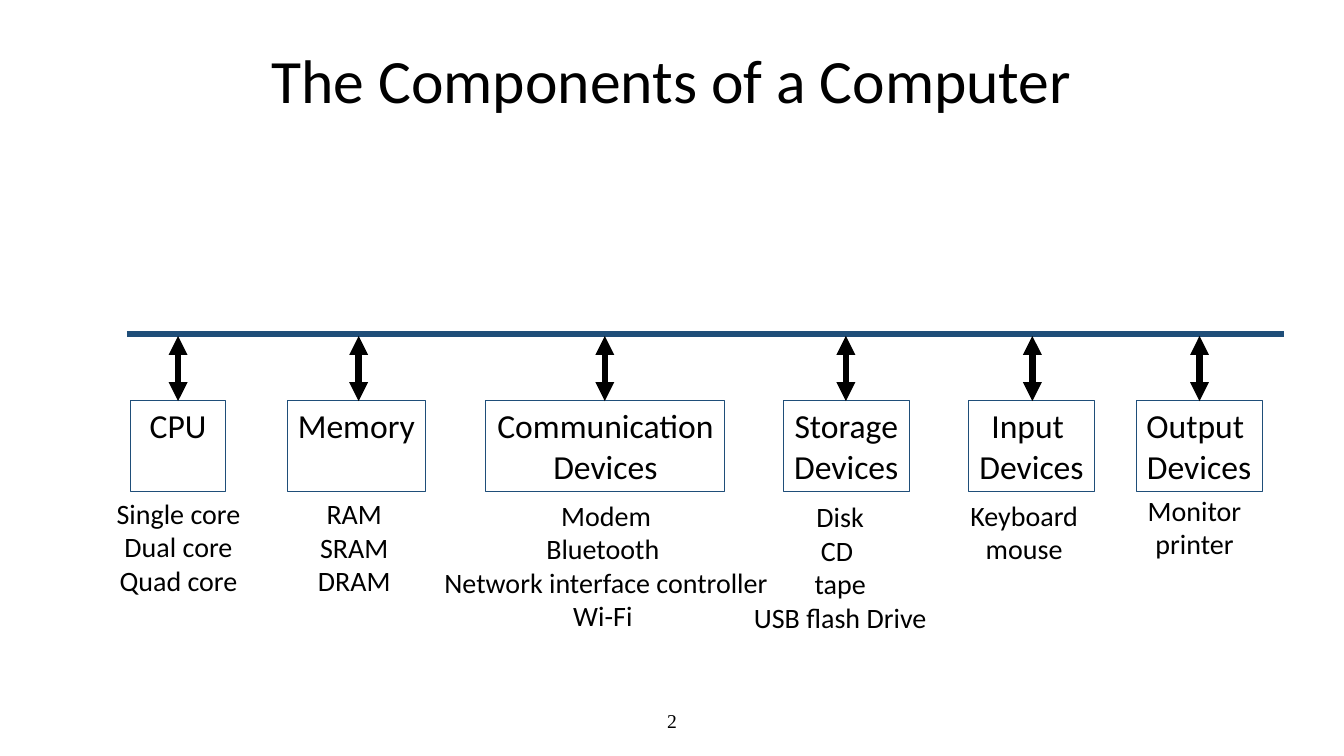
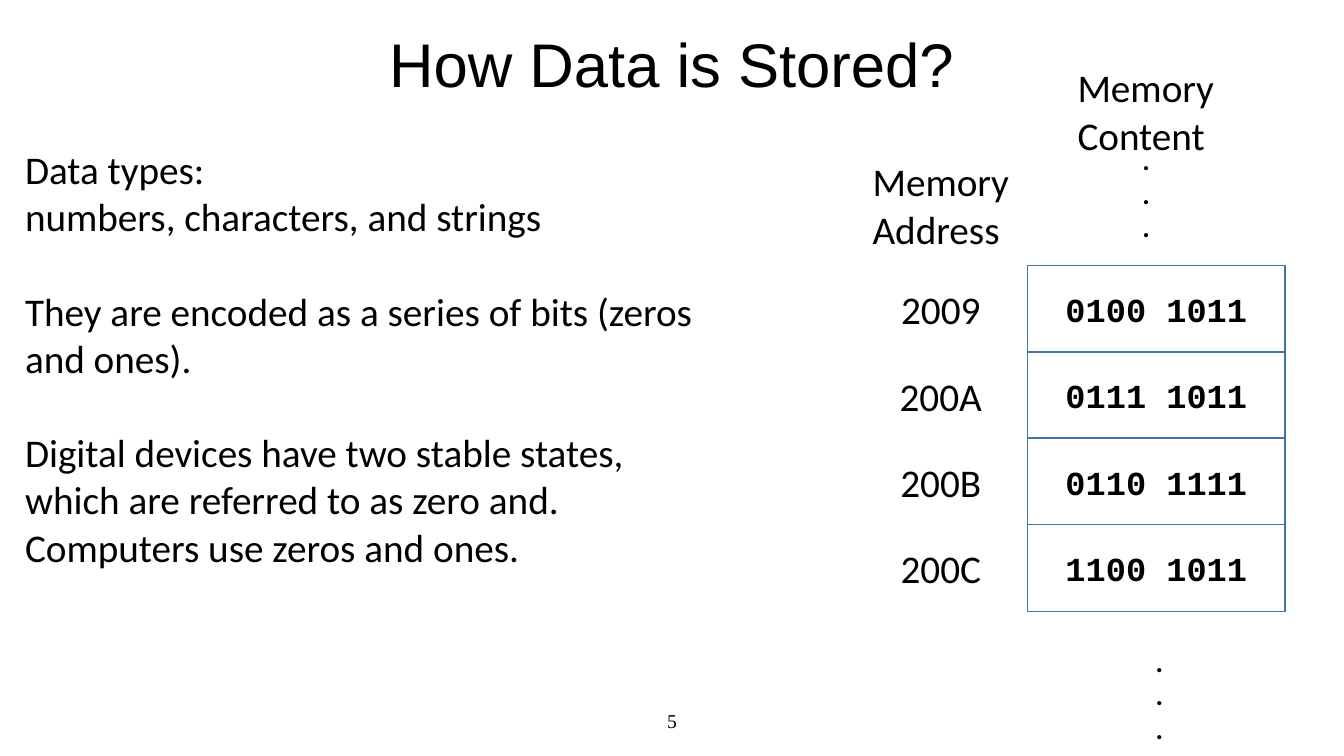
from dataclasses import dataclass
from typing import NamedTuple

from lxml import etree
from pptx import Presentation
from pptx import util as u
from pptx.dml.color import RGBColor
from pptx.enum import shapes, text
from pptx.oxml import ns
from pptx.shapes.autoshape import Shape
from pptx.slide import Slide

WIDTH, HEIGHT = u.Inches(13.33), u.Inches(7.5)
COLS, ROWS = 160, 90

BLACK = RGBColor(0x00, 0x00, 0x00)
WHITE = RGBColor(0xFF, 0xFF, 0xFF)
NAVY = RGBColor(0x1F, 0x4E, 0x79)
STEEL = RGBColor(0x43, 0x73, 0x9E)

LEFT, MID = text.PP_ALIGN.LEFT, text.PP_ALIGN.CENTER
TOP, CENTRE = text.MSO_ANCHOR.TOP, text.MSO_ANCHOR.MIDDLE


class Area(NamedTuple):
    col: float
    row: float
    cols: float
    rows: float


@dataclass(frozen=True)
class Style:
    size: float
    name: str = "Calibri"
    bold: bool = False
    align: text.PP_ALIGN = MID
    anchor: text.MSO_ANCHOR = TOP
    wrap: bool = False
    pitch: float = 1.0


@dataclass(frozen=True)
class Part:
    col: float
    cols: float
    axis: float
    label: tuple[str, ...]
    note: tuple[float, float, float]
    kinds: tuple[str, ...]


HEAD = Style(44, anchor=CENTRE, wrap=True, pitch=0.9)
HEAD_SANS = Style(44, "Arial", anchor=CENTRE, wrap=True, pitch=0.9)
PAGE = Style(14, "Times New Roman", anchor=CENTRE, wrap=True)
LABEL = Style(24)
NOTE = Style(20)
BODY = Style(28, align=LEFT, wrap=True)
TAG = Style(28, align=LEFT)
PLACE = Style(28)
DOTS = Style(20, bold=True, align=LEFT)
BITS = Style(24, "Courier New", True, anchor=CENTRE, wrap=True)

BUS_ROW = 39.75
ARROW_ROWS = (40, 47.75)
BOX_ROW, BOX_ROWS = 47.65, 10.9
NOTE_LINE, NOTE_PAD = 4.05, 1.2

PARTS = (
    Part(15.5, 11.4, 21.2, ("CPU",), (12.6, 58.5, 17.3),
         ("Single core", "Dual core", "Quad core")),
    Part(34.2, 16.45, 42.7, ("Memory",), (36.6, 58.55, 11.15),
         ("RAM", "SRAM", "DRAM")),
    Part(57.85, 28.45, 72, ("Communication", "Devices"), (51.5, 58.7, 41.3),
         ("Modem", "Bluetooth ", "Network interface controller", "Wi-Fi ")),
    Part(93.25, 15, 100.7, ("Storage", "Devices"), (88.45, 58.9, 23.15),
         ("Disk", "CD ", "tape", "USB flash Drive")),
    Part(115.3, 15, 122.9, ("Input ", "Devices"), (114.25, 58.7, 15.35),
         ("Keyboard", "mouse")),
    Part(135.25, 15, 142.8, ("Output ", "Devices"), (135.35, 58.1, 13.7),
         ("Monitor", "printer")),
)

CELL = Area(122.3, 31.6, 30.7, 10.4)
CELL_STEP = 10.28
PLACE_ROW = 33.4
STORE = {
    "2009": "0100 1011",
    "200A": "0111 1011",
    "200B": "0110 1111",
    "200C": "1100 1011",
}
DATA = (
    "Data types:",
    "numbers, characters, and strings",
    "They are encoded as a series of bits (zeros and ones).",
    "Digital devices have two stable states, which are referred to as zero and.",
    "Computers use zeros and ones.",
)
DATA_GAPS = {2: 34, 3: 34}


def across(cols: float) -> int:
    return round(cols * WIDTH / COLS)


def down(rows: float) -> int:
    return round(rows * HEIGHT / ROWS)


def place(area: Area) -> tuple[int, int, int, int]:
    return across(area.col), down(area.row), across(area.cols), down(area.rows)


def assign(target: object, values: dict[str, object]) -> None:
    for key, value in values.items():
        setattr(target, key, value)


def write(shape: Shape, lines: tuple[str, ...], style: Style,
          gaps: dict[int, float] | None = None) -> None:
    frame = shape.text_frame
    assign(frame, {"word_wrap": style.wrap, "vertical_anchor": style.anchor,
                   "auto_size": text.MSO_AUTO_SIZE.NONE})
    for index, line in enumerate(lines):
        para = frame.add_paragraph() if index else frame.paragraphs[0]
        assign(para, {"alignment": style.align, "line_spacing": style.pitch,
                      "space_before": u.Pt((gaps or {}).get(index, 0))})
        run = para.add_run()
        run.text = line
        assign(run.font, {"size": u.Pt(style.size), "name": style.name,
                          "bold": style.bold})
        run.font.color.rgb = BLACK


def add_text(slide: Slide, area: Area, lines: tuple[str, ...], style: Style,
             gaps: dict[int, float] | None = None) -> None:
    write(slide.shapes.add_textbox(*place(area)), lines, style, gaps)


def add_box(slide: Slide, area: Area, lines: tuple[str, ...], style: Style,
            edge: RGBColor, weight: float, fill: RGBColor | None = None) -> None:
    box = slide.shapes.add_shape(shapes.MSO_SHAPE.RECTANGLE, *place(area))
    box.shadow.inherit = False
    if fill is None:
        box.fill.background()
    else:
        box.fill.solid()
        box.fill.fore_color.rgb = fill
    box.line.color.rgb = edge
    box.line.width = u.Pt(weight)
    write(box, lines, style)


def add_line(slide: Slide, start: tuple[float, float], end: tuple[float, float],
             color: RGBColor, heads: bool = False) -> None:
    line = slide.shapes.add_connector(
        shapes.MSO_CONNECTOR.STRAIGHT,
        across(start[0]), down(start[1]), across(end[0]), down(end[1]))
    line.line.color.rgb = color
    line.line.width = u.Pt(4.5)
    if heads:
        stroke = line.line._get_or_add_ln()
        for tag in ("a:headEnd", "a:tailEnd"):
            etree.SubElement(stroke, ns.qn(tag), type="triangle")
    etree.SubElement(line._element.spPr, ns.qn("a:effectLst"))


def add_slide(deck: Presentation, title: str, style: Style, area: Area,
              page: int) -> Slide:
    slide = deck.slides.add_slide(deck.slide_layouts[6])
    add_text(slide, Area(53, 83.4, 54, 4.8), (str(page),), PAGE)
    add_text(slide, area, (title,), style)
    return slide


def draw_parts(deck: Presentation) -> None:
    slide = add_slide(deck, "The Components of a Computer", HEAD,
                      Area(0, 4, COLS, 12), 2)
    add_line(slide, (15.1, BUS_ROW), (152.8, BUS_ROW), NAVY)
    for part in PARTS:
        add_box(slide, Area(part.col, BOX_ROW, part.cols, BOX_ROWS),
                part.label, LABEL, NAVY, 0.75)
        add_line(slide, (part.axis, ARROW_ROWS[0]), (part.axis, ARROW_ROWS[1]),
                 BLACK, heads=True)
        rows = NOTE_LINE * len(part.kinds) + NOTE_PAD
        add_text(slide, Area(*part.note, rows), part.kinds, NOTE)


def draw_store(deck: Presentation) -> None:
    slide = add_slide(deck, "How Data is Stored?", HEAD_SANS,
                      Area(0, 3, COLS, 10), 5)
    add_text(slide, Area(1.8, 16.7, 82.8, 52), DATA, BODY, DATA_GAPS)
    for index, (spot, bits) in enumerate(STORE.items()):
        shift = index * CELL_STEP
        add_box(slide, CELL._replace(row=CELL.row + shift), (bits,), BITS,
                STEEL, 1, WHITE)
        add_text(slide, Area(106, PLACE_ROW + shift, 12, 6.8), (spot,), PLACE)
    for col, row, word in ((102.7, 18.2, "Address"), (127.1, 7, "Content")):
        add_text(slide, Area(col, row, 18.8, 12.5), ("Memory", word), TAG)
    for col, row in ((134.8, 16.4), (136.4, 76.1)):
        add_text(slide, Area(col, row, 3.4, 13.3), (".",) * 3, DOTS)


def main() -> None:
    deck = Presentation()
    assign(deck, {"slide_width": WIDTH, "slide_height": HEIGHT})
    draw_parts(deck)
    draw_store(deck)
    deck.save("out.pptx")


if __name__ == "__main__":
    main()
